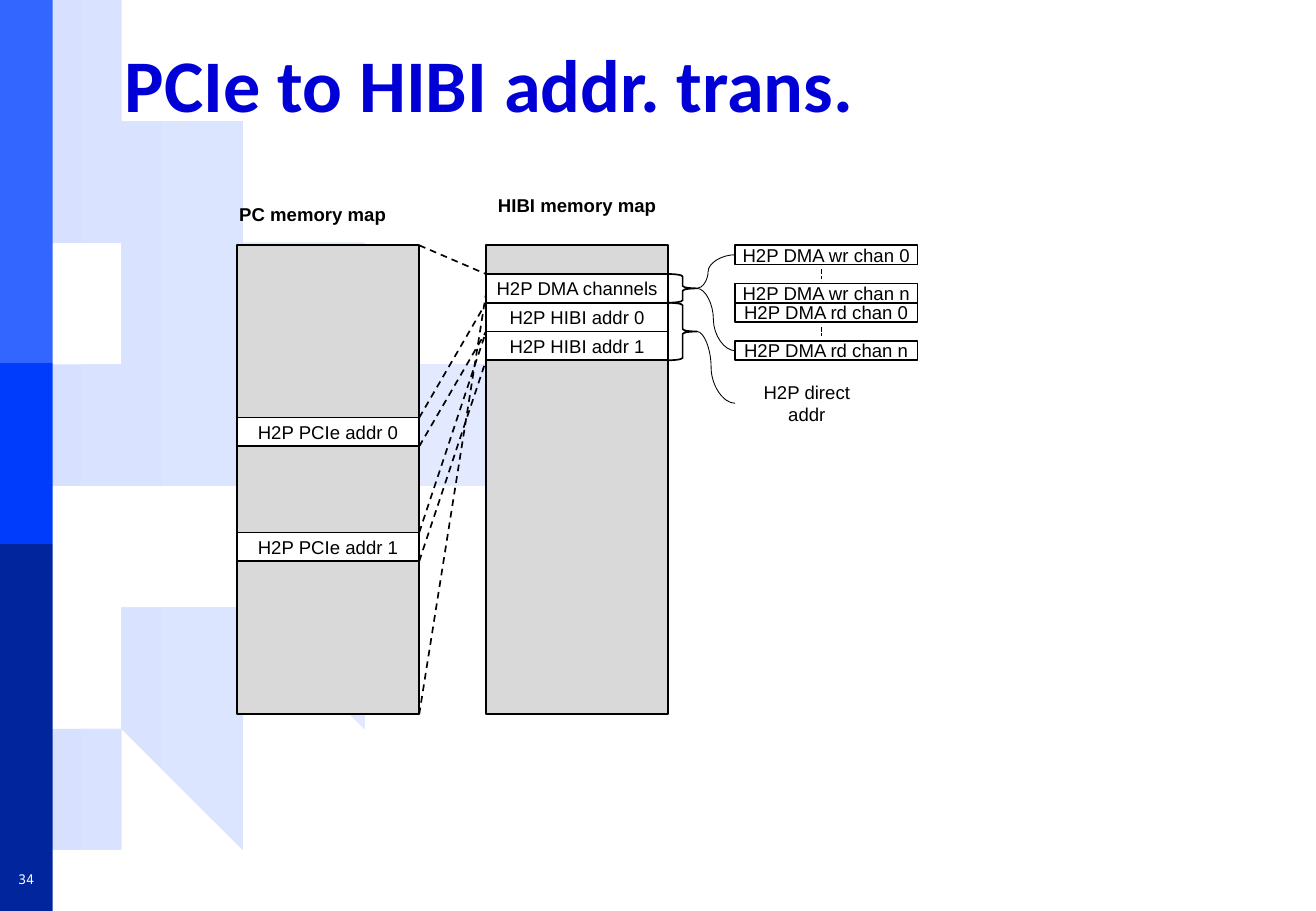
from dataclasses import dataclass

from lxml.etree import SubElement
from pptx import Presentation
from pptx.dml.color import RGBColor
from pptx.enum.dml import MSO_LINE_DASH_STYLE as Dash
from pptx.enum.shapes import MSO_CONNECTOR as Link, MSO_SHAPE as Shape
from pptx.enum.text import MSO_ANCHOR as Anchor, PP_ALIGN as Align
from pptx.oxml.ns import qn
from pptx.util import Inches, Pt

SLIDE_W, SLIDE_H = 10.83, 7.5


@dataclass(frozen=True)
class Theme:
    ink: str = "000000"
    paper: str = "FFFFFF"
    memory: str = "D9D9D9"
    title: str = "0000D6"
    gear: tuple = ("D7E1FF", "E3EAFF")
    bands: tuple = ("3366FF", "003CFC", "00259C")
    body_font: str = "Arial"
    title_font: str = "Calibri"
    number_font: str = "Noto Sans Mono"
    title_size: float = 44
    body_size: float = 11
    number_size: float = 8
    line: float = 1
    thin: float = 0.5


THEME = Theme()

# Diagram grid: equal columns, and rows as high as one address window
LEFT, TOP, COLUMN_STEP, COLUMN_W = 1.95, 2.02, 2.05, 1.5
MAP_ROWS = 16.33
ROW = 3.86 / MAP_ROWS
CHANNEL_ROWS = 2 / 3
PC, HIBI, CHANNELS = (LEFT + i * COLUMN_STEP for i in range(3))

# Upper half of the gear outline in inches; the lower half mirrors it
GEAR_HALF = [
    (0, 2.99), (1.73, 2.99), (1.67, 2.86), (1.6, 2.76), (1.55, 2.64), (1.47, 2.53),
    (1.39, 2.42), (1.3, 2.34), (1.19, 2.26), (1.11, 2.16), (1, 2.09), (0.89, 2.01),
    (0.78, 1.96), (0.65, 1.91), (0.54, 1.86), (0.42, 1.81), (0.28, 1.8), (0.14, 1.76),
    (0.14, 0), (0.29, 0.01), (0.42, 0.03), (0.55, 0.05), (0.7, 0.08), (0.7, 0.88),
    (0.87, 0.93), (1, 0.99), (1.14, 1.04), (1.28, 1.12), (1.86, 0.55), (1.99, 0.62),
    (2.08, 0.7), (2.19, 0.77), (2.32, 0.85), (1.92, 1.57), (2.06, 1.69), (2.15, 1.8),
    (2.25, 1.92), (2.36, 2.05), (3.14, 1.8), (3.2, 1.92), (3.27, 2.04), (3.33, 2.14),
    (3.38, 2.27), (2.73, 2.73), (2.75, 2.91), (2.81, 3.05), (2.83, 3.2), (2.86, 3.34),
    (3.67, 3.47), (3.7, 3.59),
]
GEAR_H = 7.48


def row_y(row):
    return TOP + row * ROW


def rgb(color):
    return RGBColor.from_string(color)


def write(holder, text, size=THEME.body_size, font=THEME.body_font, color=THEME.ink,
          bold=False, align=Align.CENTER, anchor=Anchor.MIDDLE, wrap=False):
    frame = holder.text_frame
    frame.text = text
    frame.word_wrap = wrap
    frame.vertical_anchor = anchor
    paragraph = frame.paragraphs[0]
    paragraph.alignment = align
    face = paragraph.runs[0].font
    face.size, face.name, face.bold = Pt(size), font, bold
    face.color.rgb = rgb(color)


def add_label(slide, box, text, **style):
    write(slide.shapes.add_textbox(*map(Inches, box)), text, **style)


def add_block(slide, box, fill=None, kind=Shape.RECTANGLE, outlined=True):
    block = slide.shapes.add_shape(kind, *map(Inches, box))
    block.shadow.inherit = False
    if fill:
        block.fill.solid()
        block.fill.fore_color.rgb = rgb(fill)
    else:
        block.fill.background()
    if outlined:
        block.line.color.rgb = rgb(THEME.ink)
        block.line.width = Pt(THEME.line)
    else:
        block.line.fill.background()
    return block


def add_link(slide, start, end, kind=Link.STRAIGHT, width=THEME.line, dash=None, bend=None):
    """Draw a line; bend is the share of the width where a curve turns."""
    link = slide.shapes.add_connector(kind, *map(Inches, (*start, *end)))
    link.line.color.rgb = rgb(THEME.ink)
    link.line.width = Pt(width)
    if dash:
        link.line.dash_style = dash
    properties = link._element.spPr
    SubElement(properties, qn("a:effectLst"))
    if bend is not None:
        geometry = properties.find(qn("a:prstGeom"))
        guides = geometry.find(qn("a:avLst"))
        if guides is None:
            guides = SubElement(geometry, qn("a:avLst"))
        SubElement(guides, qn("a:gd"), name="adj1", fmla=f"val {round(bend * 100000)}")


def add_backdrop(slide):
    outline = GEAR_HALF + [(x, GEAR_H - y) for x, y in reversed(GEAR_HALF)]
    builder = slide.shapes.build_freeform(*outline[0], scale=Inches(1))
    builder.add_line_segments(outline[1:], close=True)
    gear = builder.convert_to_shape()
    gear.shadow.inherit = False
    gear.line.fill.background()
    gear.fill.gradient()
    gear.fill.gradient_angle = 0
    for stop, color in zip(gear.fill.gradient_stops, THEME.gear):
        stop.color.rgb = rgb(color)
    edges = (0, 2.99, 4.48, SLIDE_H)
    for top, bottom, color in zip(edges, edges[1:], THEME.bands):
        add_block(slide, (0, top, SLIDE_W * 0.04, bottom - top), color, outlined=False)


def add_memory_map(slide, left, heading, heading_box, windows):
    add_label(slide, heading_box, heading, bold=True, align=Align.LEFT,
              anchor=Anchor.TOP, wrap=True)
    add_block(slide, (left, TOP, COLUMN_W, MAP_ROWS * ROW), THEME.memory)
    for row, text in windows:
        write(add_block(slide, (left, row_y(row), COLUMN_W, ROW), THEME.paper), text)


def add_mappings(slide):
    """Dashed lines from rows of the PC map to rows of the HIBI map."""
    for pc_row, hibi_row in ((6, 2), (7, 3), (10, 3), (11, 4), (0, 1), (MAP_ROWS, 1.67)):
        add_link(slide, (PC + COLUMN_W, row_y(pc_row)), (HIBI, row_y(hibi_row)),
                 dash=Dash.DASH)


def add_channels(slide, left):
    height = CHANNEL_ROWS * ROW
    for slot, text in ((0, "H2P DMA wr chan 0"), (2, "H2P DMA wr chan n"),
                       (3, "H2P DMA rd chan 0"), (5, "H2P DMA rd chan n")):
        write(add_block(slide, (left, TOP + slot * height, COLUMN_W, height),
                        THEME.paper), text)
    for gap_slot in (1, 4):
        middle, x = TOP + (gap_slot + 0.5) * height, left + 0.71
        add_link(slide, (x, middle - 0.04), (x, middle + 0.04), dash=Dash.SQUARE_DOT)
    add_label(slide, (left, row_y(5), 1.18, ROW), "H2P direct addr")


def add_braces(slide, left, target):
    """Braces beside the HIBI windows, with curves to what they hold."""
    tip = left + ROW
    for row, rows, ends in ((1, 1, ((0.33, 0.29), (3.67, 0.43))), (2, 2, ((5.5, 0.37),))):
        add_block(slide, (left, row_y(row), ROW, rows * ROW), kind=Shape.RIGHT_BRACE)
        for end_row, bend in ends:
            add_link(slide, (tip, row_y(row + rows / 2)), (target, row_y(end_row)),
                     Link.CURVE, THEME.thin, bend=bend)


def main():
    deck = Presentation()
    deck.slide_width, deck.slide_height = Inches(SLIDE_W), Inches(SLIDE_H)
    slide = deck.slides.add_slide(deck.slide_layouts[6])
    add_backdrop(slide)
    add_label(slide, (0.93, 0.21, 9.39, 0.94), "PCIe to HIBI addr. trans.",
              size=THEME.title_size, font=THEME.title_font, color=THEME.title,
              bold=True, align=Align.LEFT, wrap=True)
    add_label(slide, (0, 7.11, SLIDE_W * 0.04, 0.26), "34", size=THEME.number_size,
              font=THEME.number_font, color=THEME.paper)
    add_memory_map(slide, HIBI, "HIBI memory map", (HIBI, 1.55, 1.64, 0.39),
                   ((1, "H2P DMA channels"), (2, "H2P HIBI addr 0"), (3, "H2P HIBI addr 1")))
    add_memory_map(slide, PC, "PC memory map", (PC - 0.08, 1.62, 1.64, 0.39),
                   ((6, "H2P PCIe addr 0"), (10, "H2P PCIe addr 1")))
    add_mappings(slide)
    add_channels(slide, CHANNELS)
    add_braces(slide, HIBI + COLUMN_W, CHANNELS)
    deck.save("out.pptx")


if __name__ == "__main__":
    main()
